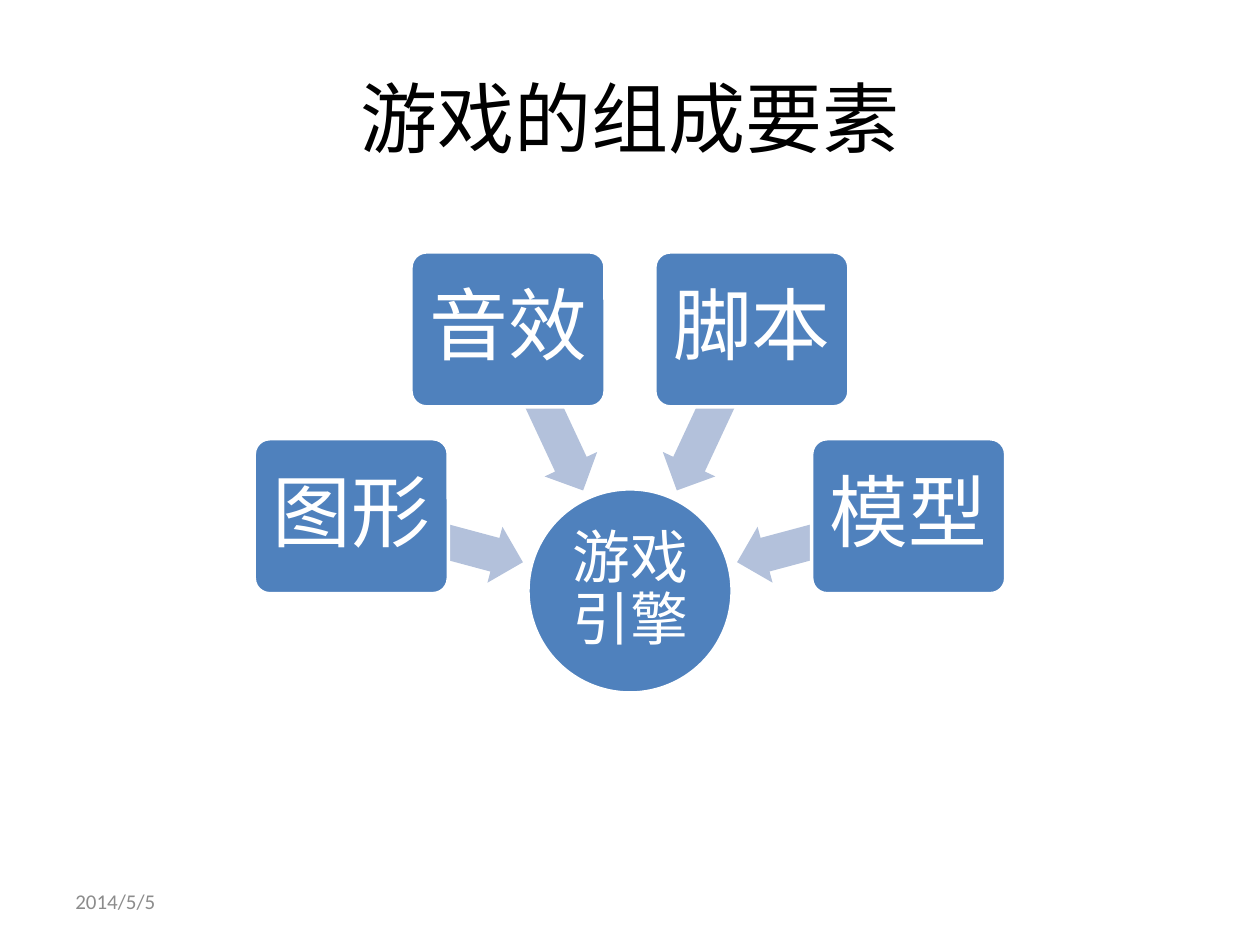
"""Build a slide with four game elements pointing at a game engine hub."""
from dataclasses import dataclass
from math import cos, radians, sin

from pptx import Presentation
from pptx.dml.color import RGBColor
from pptx.enum import shapes, text
from pptx.util import Inches, Pt


@dataclass(frozen=True)
class Theme:
    font: str = "Calibri"
    black: str = "000000"
    white: str = "FFFFFF"
    grey: str = "8C8C8C"
    blue: str = "4F81BD"
    pale: str = "B3C1DB"
    title: int = 44
    label: int = 45
    hub: int = 33
    date: int = 12
    edge: int = 2


@dataclass(frozen=True)
class Spoke:
    label: str
    angle: int


THEME = Theme()
KIND = shapes.MSO_SHAPE
HUB = (5.0, 4.69)
HUB_SIZE = 1.62
ARROW_REACH = 1.58
BOX_REACH = 2.29
SPOKES = [Spoke(label, 195 + 50 * i)
          for i, label in enumerate(("图形", "音效", "脚本", "模型"))]


def write(shape, words: str, *, size: int, color: str, center: bool = True,
          inset: tuple[float, float] = (0.1, 0.05), lead: float = 1.0) -> None:
    frame = shape.text_frame
    frame.word_wrap = True
    frame.vertical_anchor = text.MSO_ANCHOR.MIDDLE
    frame.margin_left = frame.margin_right = Inches(inset[0])
    frame.margin_top = frame.margin_bottom = Inches(inset[1])
    para = frame.paragraphs[0]
    para.alignment = text.PP_ALIGN.CENTER if center else text.PP_ALIGN.LEFT
    para.line_spacing = lead
    run = para.add_run()
    run.text = words
    run.font.name = THEME.font
    run.font.size = Pt(size)
    run.font.color.rgb = RGBColor.from_string(color)


def place(slide, kind, mid: tuple[float, float], wide: float, high: float,
          fill: str, edge: bool = True):
    shape = slide.shapes.add_shape(
        kind, Inches(mid[0] - wide / 2), Inches(mid[1] - high / 2),
        Inches(wide), Inches(high))
    shape.shadow.inherit = False
    shape.fill.solid()
    shape.fill.fore_color.rgb = RGBColor.from_string(fill)
    if edge:
        shape.line.color.rgb = RGBColor.from_string(THEME.white)
        shape.line.width = Pt(THEME.edge)
    else:
        shape.line.fill.background()
    return shape


def polar(reach: float, angle: float) -> tuple[float, float]:
    turn = radians(angle)
    return HUB[0] + reach * cos(turn), HUB[1] + reach * sin(turn)


def draw_spoke(slide, spoke: Spoke) -> None:
    arrow = place(slide, KIND.LEFT_ARROW, polar(ARROW_REACH, spoke.angle),
                  1.4, 0.46, THEME.pale, edge=False)
    arrow.adjustments[0] = 0.6
    arrow.adjustments[1] = 0.5
    arrow.rotation = spoke.angle
    box = place(slide, KIND.ROUNDED_RECTANGLE, polar(BOX_REACH, spoke.angle),
                1.54, 1.23, THEME.blue)
    box.adjustments[0] = 0.1
    write(box, spoke.label, size=THEME.label, color=THEME.white,
          inset=(0.09, 0.09), lead=0.9)


def main() -> None:
    deck = Presentation()
    deck.slide_width, deck.slide_height = Inches(10), Inches(7.5)
    slide = deck.slides.add_slide(deck.slide_layouts[6])
    title = slide.shapes.add_textbox(
        Inches(0.5), Inches(0.3), Inches(9), Inches(1.25))
    write(title, "游戏的组成要素", size=THEME.title, color=THEME.black)
    date = slide.shapes.add_textbox(
        Inches(0.5), Inches(6.95), Inches(2.33), Inches(0.4))
    write(date, "2014/5/5", size=THEME.date, color=THEME.grey, center=False)
    hub = place(slide, KIND.OVAL, HUB, HUB_SIZE, HUB_SIZE, THEME.blue)
    write(hub, "游戏引擎", size=THEME.hub, color=THEME.white,
          inset=(0.02, 0.02), lead=0.9)
    for spoke in SPOKES:
        draw_spoke(slide, spoke)
    deck.save("out.pptx")


if __name__ == "__main__":
    main()
